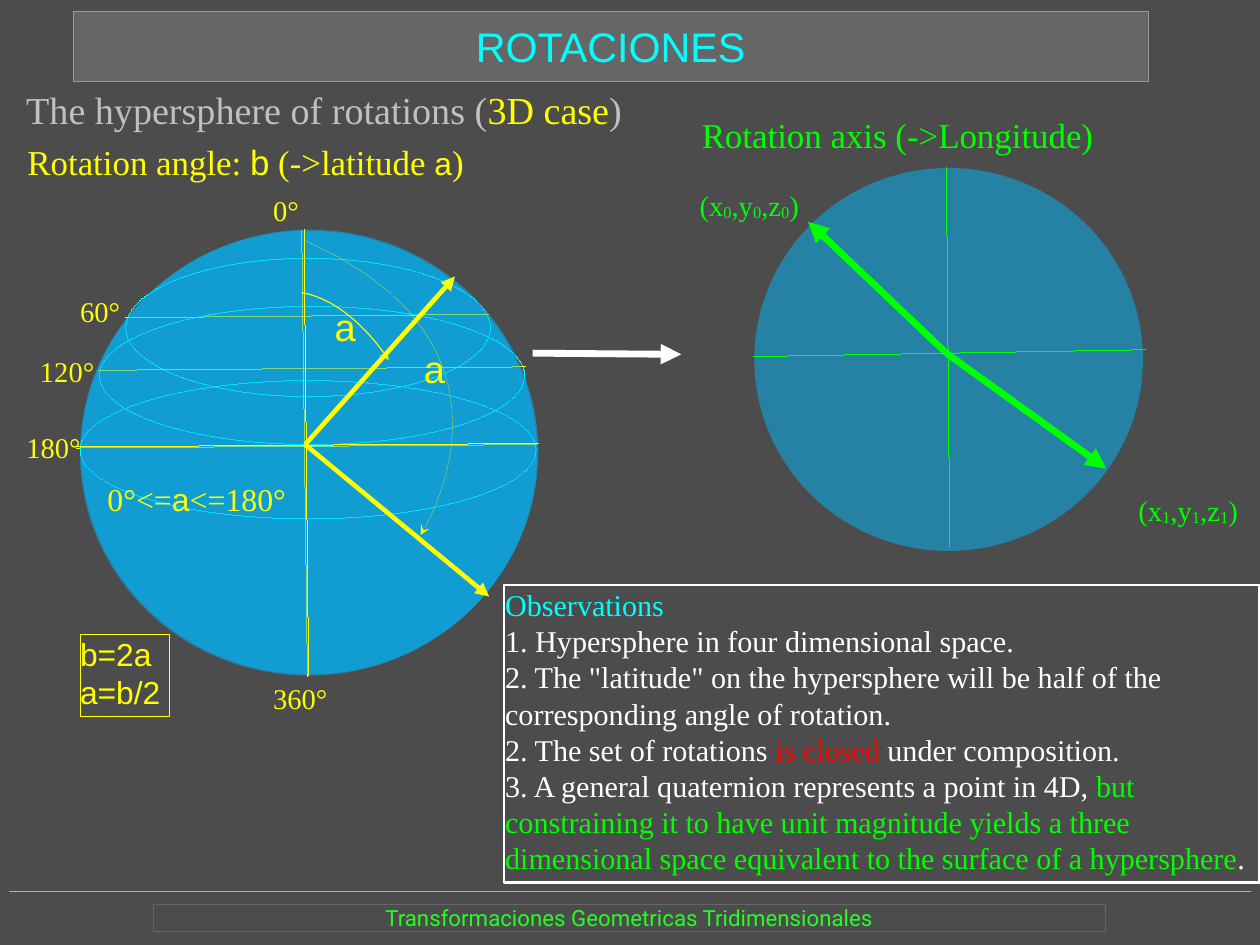
import pptx
import pptx.util
import pptx.dml.color
import pptx.enum.shapes
import pptx.enum.text
import pptx.oxml.ns
from lxml import etree

Inches = pptx.util.Inches
RGBColor = pptx.dml.color.RGBColor
SHAPE = pptx.enum.shapes.MSO_SHAPE
ANCHOR = pptx.enum.text.MSO_ANCHOR
ALIGN = pptx.enum.text.PP_ALIGN
qn = pptx.oxml.ns.qn

GREY = RGBColor(0x4C, 0x4C, 0x4C)
MID_GREY = RGBColor(0x66, 0x66, 0x66)
EDGE_GREY = RGBColor(0x99, 0x99, 0x99)
RULE_GREY = RGBColor(0xB3, 0xB3, 0xB3)
SILVER = RGBColor(0xC0, 0xC0, 0xC0)
WHITE = RGBColor(0xFF, 0xFF, 0xFF)
YELLOW = RGBColor(0xFF, 0xFF, 0x00)
CYAN = RGBColor(0x00, 0xFF, 0xFF)
GREEN = RGBColor(0x00, 0xFF, 0x00)
FOOTER_GREEN = RGBColor(0x23, 0xFF, 0x23)
RED = RGBColor(0xFF, 0x00, 0x00)
SPHERE_BLUE = RGBColor(0x00, 0xB8, 0xFF)

SERIF, SANS = "Times New Roman", "Arial"
HAIR = 0

TITLE = [[("ROTACIONES", {})]]
FOOTER = [[("Transformaciones Geometricas Tridimensionales", {})]]
OBSERVATIONS = [
    [("Observations", {"color": CYAN})],
    [("1. Hypersphere in four dimensional space.", {})],
    [('2. The "latitude" on the hypersphere will be half of the corresponding angle of rotation.', {})],
    [("2. The set of rotations ", {}), ("is closed", {"color": RED}), (" under composition.", {})],
    [("3. A general quaternion represents a point in 4D, ", {}),
     ("but constraining it to have unit magnitude yields a three dimensional space "
      "equivalent to the surface of a hypersphere", {"color": GREEN}),
     (".", {})],
]
HALF_ANGLE = [[("b=2a", {})], [("a=b/2", {})]]
ARC_LABEL = [[("a", {})]]


def point_label(index):
    low = {"base": -8}
    return [("(x", {}), (index, low), (",y", {}), (index, low), (",z", {}), (index, low), (")", {})]


LABELS = [
    ((0.23, 0.76, 9.2, 0.4), 24, SILVER,
     [("The hypersphere of rotations (", {}), ("3D case", {"color": YELLOW}), (")", {})]),
    ((0.24, 1.23, 4.4, 0.4), 22, YELLOW,
     [("Rotation angle: ", {}), ("b", {"name": SANS}), (" (->latitude ", {}),
      ("a", {"name": SANS, "size": 20}), (")", {})]),
    ((6.14, 0.99, 3.97, 0.4), 22, GREEN, [("Rotation axis (->Longitude)", {})]),
    ((2.39, 1.69, 0.23, 0.3), 18, YELLOW, [("0°", {})]),
    ((0.7, 2.57, 0.41, 0.3), 18, YELLOW, [("60°", {})]),
    ((0.35, 3.1, 0.5, 0.3), 18, YELLOW, [("120°", {})]),
    ((0.23, 3.76, 0.48, 0.3), 18, YELLOW, [("180°", {})]),
    ((2.39, 5.96, 0.53, 0.31), 18, YELLOW, [("360°", {})]),
    ((6.12, 1.64, 0.89, 0.72), 18, GREEN, point_label("0")),
    ((9.96, 4.31, 0.89, 0.4), 18, GREEN, point_label("1")),
    ((3.71, 3.02, 0.3, 0.48), 24, YELLOW, [("a", {"name": SANS})]),
    ((0.94, 4.2, 1.58, 0.36), 20, YELLOW,
     [("0°<=", {}), ("a", {"name": SANS}), ("<=180°", {})]),
]

BACK_SPHERE = (0.7, 2.02, 4, 3.89)
FRONT_SPHERE = (0.71, 2.01, 4, 3.89)
AXIS_SPHERE = (6.6, 1.47, 3.4, 3.35)
PARALLELS = [(0.87, 2.68, 3.72, 1.21), (0.7, 3.33, 3.99, 1.21), (1.1, 2.26, 3.19, 1.21)]

BACK_LINES = [
    ((2.64, 2.02), (2.69, 5.92), YELLOW, HAIR, None),
    ((4.69, 3.89), (0.67, 3.92), YELLOW, HAIR, None),
    ((4.6, 3.21), (0.86, 3.24), YELLOW, HAIR, None),
    ((4.27, 2.75), (1.1, 2.78), YELLOW, HAIR, None),
]
AXIS_LINES = [
    ((4.66, 3.09), (5.96, 3.1), WHITE, 4.31, "triangle"),
    ((8.28, 1.47), (8.31, 4.79), GREEN, HAIR, None),
    ((10.02, 3.06), (6.59, 3.12), GREEN, HAIR, None),
    ((8.28, 3.09), (7.07, 1.94), GREEN, 4.31, "triangle"),
    ((8.28, 3.09), (9.68, 4.1), GREEN, 4.31, "triangle"),
]
FRONT_LINES = [
    ((2.66, 2.01), (2.7, 5.91), YELLOW, HAIR, None),
    ((4.71, 3.88), (0.68, 3.91), YELLOW, HAIR, None),
    ((2.67, 3.89), (3.98, 2.42), YELLOW, 2.89, "triangle"),
    ((2.67, 3.89), (4.28, 5.22), YELLOW, 2.89, "triangle"),
]
FOOTER_RULE = ((0.08, 7.8), (10.94, 7.8), RULE_GREY, HAIR, None)
ANGLE_ARC = ((2.64, 2.56), (3.09, 2.64), (3.4, 3.15), 0.71)
LATITUDE_ARC = ((2.68, 2.11), (4.76, 3.03), (3.68, 4.68), HAIR)
ARC_STEPS = 20

FRAME = {"word_wrap": True, "auto_size": pptx.enum.text.MSO_AUTO_SIZE.NONE}


def apply(target, values):
    for key, value in values.items():
        setattr(target, key, value)


def place(part, box):
    apply(part, dict(zip(("left", "top", "width", "height"), map(Inches, box))))


def write(part, paragraphs, size, color, name=SERIF, align=ALIGN.LEFT, anchor=ANCHOR.TOP,
          inset=0):
    frame = part.text_frame
    apply(frame, FRAME)
    frame.vertical_anchor = anchor
    for side in ("left", "right", "top", "bottom"):
        setattr(frame, "margin_" + side, Inches(inset))
    for number, runs in enumerate(paragraphs):
        paragraph = frame.add_paragraph() if number else frame.paragraphs[0]
        properties = paragraph._p.get_or_add_pPr()
        properties.set("marL", "0")
        properties.set("indent", "0")
        etree.SubElement(properties, qn("a:buNone"))
        apply(paragraph, {"alignment": align, "line_spacing": 1.0,
                          "space_before": pptx.util.Pt(0), "space_after": pptx.util.Pt(0)})
        for text, changes in runs:
            look = {"name": name, "size": size, "color": color, **changes}
            run = paragraph.add_run()
            run.text = text
            apply(run.font, {"name": look["name"], "size": pptx.util.Pt(look["size"])})
            run.font.color.rgb = look["color"]
            if "base" in look:
                run._r.get_or_add_rPr().set("baseline", str(look["base"] * 1000))


def outline(part, color, width, tail=None):
    part.line.color.rgb = color
    ln = part._element.spPr.find(qn("a:ln"))
    ln.set("w", str(int(pptx.util.Pt(width))))
    if tail:
        etree.SubElement(ln, qn("a:tailEnd"), type=tail)


def add_outlined(shapes, kind, box, color):
    part = shapes.add_shape(kind, *map(Inches, box))
    part.shadow.inherit = False
    part.fill.background()
    outline(part, color, HAIR)
    return part


def add_sphere(shapes, box):
    sphere = shapes.add_shape(SHAPE.OVAL, *map(Inches, box))
    sphere.shadow.inherit = False
    sphere.fill.solid()
    sphere.fill.fore_color.rgb = SPHERE_BLUE
    sphere.line.fill.background()
    tint = sphere._element.spPr.find(qn("a:solidFill")).find(qn("a:srgbClr"))
    etree.SubElement(tint, qn("a:alpha"), val="50000")


def add_line(shapes, start, end, color, width, tail):
    line = shapes.add_connector(pptx.enum.shapes.MSO_CONNECTOR.STRAIGHT,
                                *map(Inches, start + end))
    outline(line, color, width, tail)
    etree.SubElement(line._element.spPr, qn("a:effectLst"))


def add_arc(shapes, start, control, end, width):
    points = []
    for step in range(ARC_STEPS + 1):
        t = step / ARC_STEPS
        u = 1 - t
        points.append(tuple(Inches(a * u**3 + 3 * b * t * u**2 + c * (3 * t**2 * u + t**3))
                            for a, b, c in zip(start, control, end)))
    builder = shapes.build_freeform(*points[0])
    builder.add_line_segments(points[1:], close=False)
    arc = builder.convert_to_shape()
    arc.shadow.inherit = False
    arc.fill.background()
    outline(arc, YELLOW, width, "stealth")
    return arc


def main():
    deck = pptx.Presentation()
    apply(deck, {"slide_width": pptx.util.Cm(28), "slide_height": pptx.util.Cm(21)})
    slide = deck.slides.add_slide(deck.slide_layouts[1])
    slide.background.fill.solid()
    slide.background.fill.fore_color.rgb = GREY
    shapes = slide.shapes

    title, observations = slide.placeholders
    place(title, (0.64, 0.1, 9.41, 0.61))
    title.fill.solid()
    title.fill.fore_color.rgb = MID_GREY
    outline(title, EDGE_GREY, HAIR)
    write(title, TITLE, 26, CYAN, SANS, ALIGN.CENTER, ANCHOR.MIDDLE)
    place(observations, (4.41, 5.12, 6.61, 2.6))
    outline(observations, WHITE, 1.45)
    write(observations, OBSERVATIONS, 19, WHITE, inset=0.01)

    add_line(shapes, *FOOTER_RULE)
    footer = add_outlined(shapes, SHAPE.RECTANGLE, (1.34, 7.91, 8.33, 0.24), MID_GREY)
    write(footer, FOOTER, 14, FOOTER_GREEN, "Roboto", ALIGN.CENTER, ANCHOR.MIDDLE)

    add_sphere(shapes, BACK_SPHERE)
    for parallel in PARALLELS:
        add_outlined(shapes, SHAPE.OVAL, parallel, CYAN)
    for sphere, lines in ((None, BACK_LINES), (AXIS_SPHERE, AXIS_LINES),
                          (FRONT_SPHERE, FRONT_LINES)):
        if sphere:
            add_sphere(shapes, sphere)
        for line in lines:
            add_line(shapes, *line)

    angle = add_arc(shapes, *ANGLE_ARC)
    write(angle, ARC_LABEL, 24, YELLOW, SANS, ALIGN.CENTER, ANCHOR.MIDDLE)
    add_arc(shapes, *LATITUDE_ARC)

    for box, size, color, runs in LABELS:
        write(shapes.add_textbox(*map(Inches, box)), [runs], size, color)

    half_angle = add_outlined(shapes, SHAPE.RECTANGLE, (0.7, 5.55, 0.78, 0.72), YELLOW)
    write(half_angle, HALF_ANGLE, 20, YELLOW, SANS)
    deck.save("out.pptx")


if __name__ == "__main__":
    main()
